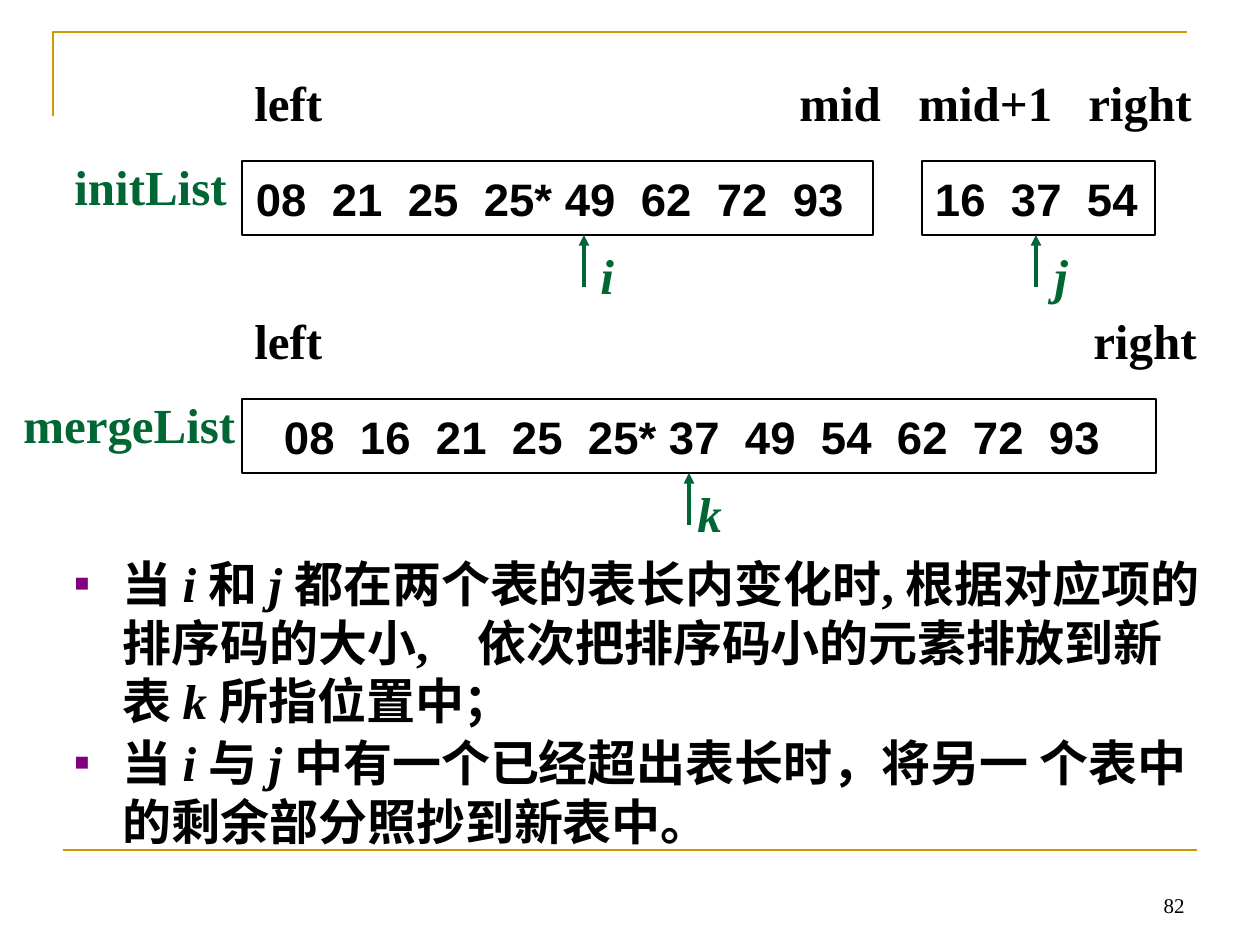
from lxml import etree
from pptx import Presentation, util as u
from pptx.dml.color import RGBColor
from pptx.enum import shapes, text
from pptx.oxml import ns

PX = 914400 // 126  # EMU in one px
BLACK = RGBColor(0x00, 0x00, 0x00)
WHITE = RGBColor(0xFF, 0xFF, 0xFF)
GREEN = RGBColor(0x00, 0x66, 0x33)
GOLD = RGBColor(0xCC, 0x99, 0x00)
BULLET_COLOUR = "800080"
SERIF, SANS = "Times New Roman", "Arial"

NUMBER_PITCH, STAR_EXTRA = 76, 5
LABEL_H = 72
ARROW_LENGTH = 52

# Each label: wording, left, width
INIT_ENDS = [("left", 242, 100), ("mid", 787, 114),
             ("mid+1", 906, 168), ("right", 1076, 140)]
MERGE_ENDS = [("left", 242, 100), ("right", 1081, 140)]

# Odd pieces are index names, set in italics
RULES = [
    ["当 ", "i ", "和 ", "j ",
     "都在两个表的表长内变化时, 根据对应项的排序码的大小,　依次把排序码小的元素排放到新表 ",
     "k ", "所指位置中；"],
    ["当 ", "i ", "与 ", "j ",
     "中有一个已经超出表长时，将另一 个表中的剩余部分照抄到新表中。"],
]


def px(*lengths):
    return [u.Emu(length * PX) for length in lengths]


def add_xml(parent, tag, **attributes):
    return etree.SubElement(parent, ns.qn(tag), attributes)


def write(paragraph, wording, size=28, font=SERIF, colour=BLACK,
          bold=True, italic=False):
    run = paragraph.add_run()
    run.text = wording
    run.font.size = u.Pt(size)
    run.font.name = font
    run.font.bold = bold
    run.font.italic = italic
    run.font.color.rgb = colour


def add_label(slide, wording, left, top, width, **style):
    frame = slide.shapes.add_textbox(*px(left, top, width, LABEL_H)).text_frame
    frame.word_wrap = False
    frame.auto_size = text.MSO_AUTO_SIZE.SHAPE_TO_FIT_TEXT
    write(frame.paragraphs[0], wording, **style)


def add_list(slide, numbers, left, top, width, inset):
    box = slide.shapes.add_shape(shapes.MSO_SHAPE.RECTANGLE,
                                 *px(left, top, width, 74))
    box.shadow.inherit = False
    box.fill.solid()
    box.fill.fore_color.rgb = WHITE
    box.line.color.rgb = BLACK
    box.line.width = u.Pt(0.75)
    frame = box.text_frame
    frame.word_wrap = False
    frame.margin_left, frame.margin_right = px(inset, 0)
    frame.vertical_anchor = text.MSO_ANCHOR.MIDDLE
    paragraph = frame.paragraphs[0]
    paragraph.alignment = text.PP_ALIGN.LEFT
    # One tab stop per number; a starred number takes a little more room
    stops = add_xml(paragraph._p.get_or_add_pPr(), "a:tabLst")
    position = 0
    for number in numbers[:-1]:
        position += NUMBER_PITCH + STAR_EXTRA * number.endswith("*")
        add_xml(stops, "a:tab", pos=str(position * PX), algn="l")
    write(paragraph, "\t".join(numbers), size=26, font=SANS)


def add_line(slide, start, end, colour, width):
    line = slide.shapes.add_connector(shapes.MSO_CONNECTOR.STRAIGHT,
                                      *px(*start, *end))
    line.line.color.rgb = colour
    line.line.width = u.Pt(width)
    add_xml(line._element.spPr, "a:effectLst")
    return line


def add_index(slide, name, x, list_bottom, label_left):
    arrow = add_line(slide, (x, list_bottom + ARROW_LENGTH), (x, list_bottom),
                     GREEN, 2)
    add_xml(arrow.line._get_or_add_ln(), "a:tailEnd", type="triangle")
    add_label(slide, name, label_left, list_bottom + 4, 52,
              colour=GREEN, italic=True)


def add_frame(slide):
    builder = slide.shapes.build_freeform(53, 116, scale=PX)
    builder.add_line_segments([(53, 32), (1187, 32)], close=False)
    corner = builder.convert_to_shape()
    corner.shadow.inherit = False
    corner.fill.background()
    corner.line.color.rgb = GOLD
    corner.line.width = u.Pt(1.5)
    add_line(slide, (63, 850), (1197, 850), GOLD, 1.5)


def add_page_number(slide, number):
    frame = slide.shapes.add_textbox(*px(903, 861, 294, 63)).text_frame
    frame.word_wrap = True
    frame.vertical_anchor = text.MSO_ANCHOR.BOTTOM
    frame.paragraphs[0].alignment = text.PP_ALIGN.RIGHT
    write(frame.paragraphs[0], number, size=12, bold=False)


def fill_rules(body):
    body.left, body.top, body.width, body.height = px(62, 547, 1153, 368)
    frame = body.text_frame
    frame.auto_size = text.MSO_AUTO_SIZE.NONE
    for index, pieces in enumerate(RULES):
        paragraph = frame.add_paragraph() if index else frame.paragraphs[0]
        properties = paragraph._p.get_or_add_pPr()
        properties.set("marL", str(48 * PX))
        properties.set("indent", str(-48 * PX))
        add_xml(add_xml(properties, "a:buClr"), "a:srgbClr", val=BULLET_COLOUR)
        add_xml(properties, "a:buSzPct", val="50000")
        add_xml(properties, "a:buFont", typeface=SANS)
        add_xml(properties, "a:buChar", char="■")
        paragraph.space_before = u.Pt(1.8 if index else 0)
        for order, piece in enumerate(pieces):
            write(paragraph, piece, italic=order % 2 == 1)


def main():
    deck = Presentation()
    deck.slide_width, deck.slide_height = px(1260, 945)
    slide = deck.slides.add_slide(deck.slide_layouts[1])
    title = slide.shapes.title._element
    title.getparent().remove(title)

    # Decoration and page number
    add_frame(slide)
    add_page_number(slide, "82")

    # The two sorted runs of the source list
    add_list(slide, ["08", "21", "25", "25*", "49", "62", "72", "93"],
             242, 161, 631, 14)
    add_list(slide, ["16", "37", "54"], 922, 161, 233, 13)
    add_label(slide, "initList", 62, 150, 182, colour=GREEN)
    add_index(slide, "i", 584, 235, 588)
    add_index(slide, "j", 1036, 235, 1042)

    # The merged list
    add_list(slide, ["08", "16", "21", "25", "25*", "37", "49", "54", "62",
                     "72", "93"], 242, 399, 914, 42)
    add_label(slide, "mergeList", 11, 388, 242, colour=GREEN)
    add_index(slide, "k", 689, 473, 685)

    # Names of the list ends
    for top, ends in ((66, INIT_ENDS), (304, MERGE_ENDS)):
        for name, left, width in ends:
            add_label(slide, name, left, top, width)

    # Merging rules
    fill_rules(slide.placeholders[1])
    deck.save("out.pptx")


if __name__ == "__main__":
    main()
